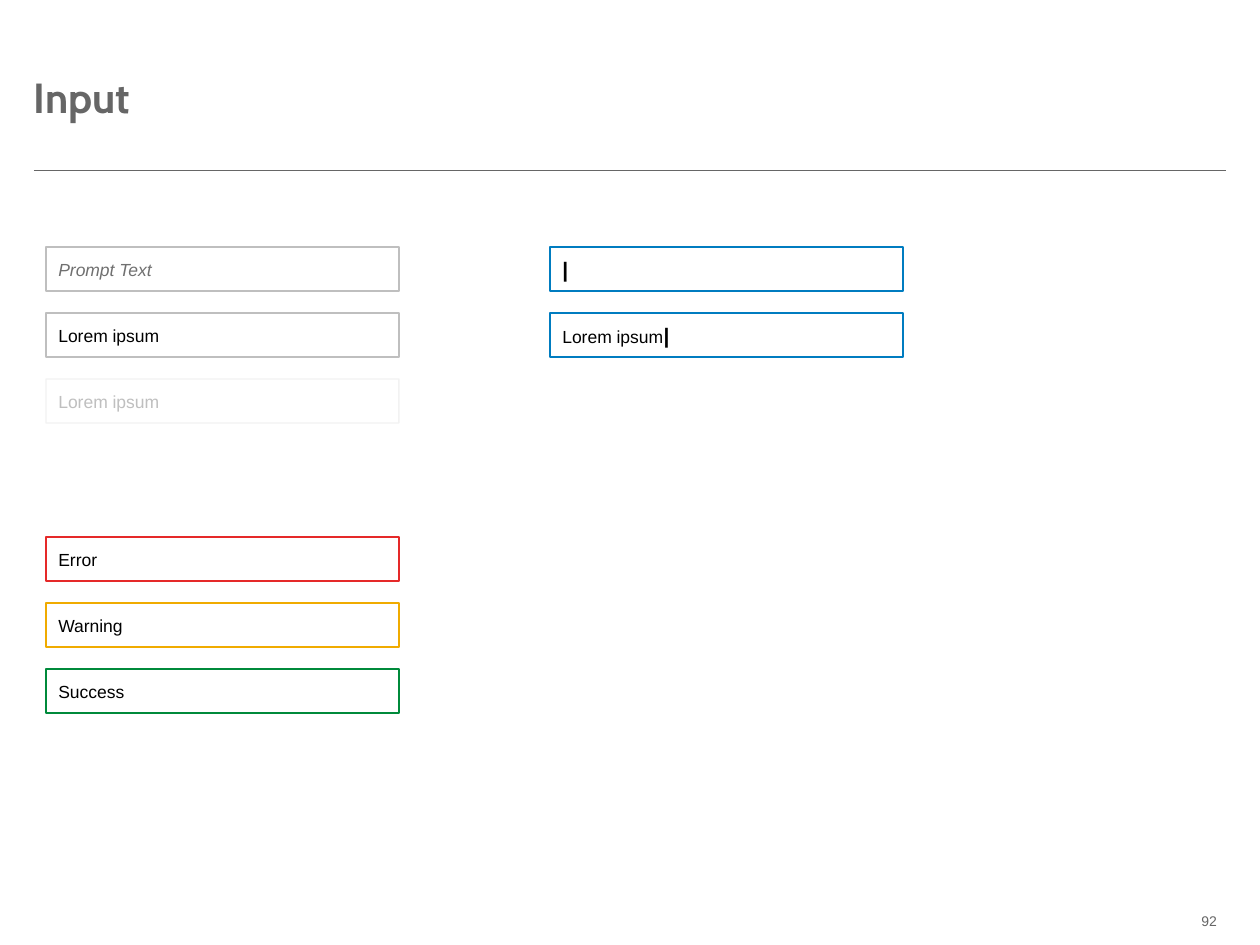
"""Build the slide that shows the states of an input field."""
from lxml import etree
from pptx import Presentation
from pptx.dml.color import RGBColor
from pptx.enum.shapes import MSO_CONNECTOR, MSO_SHAPE
from pptx.enum.text import MSO_ANCHOR, MSO_AUTO_SIZE, PP_ALIGN
from pptx.oxml.ns import qn
from pptx.util import Pt

PX = 914400 / 126
WHITE = RGBColor(0xFF, 0xFF, 0xFF)
BLACK = RGBColor(0x00, 0x00, 0x00)
GREY = RGBColor(0x66, 0x66, 0x66)
PROMPT_GREY = RGBColor(0x70, 0x70, 0x70)
SILVER = RGBColor(0xBF, 0xBF, 0xBF)
BLUE = RGBColor(0x00, 0x7C, 0xC0)
RED = RGBColor(0xE5, 0x29, 0x29)
AMBER = RGBColor(0xF0, 0xAB, 0x00)
GREEN = RGBColor(0x00, 0x8A, 0x3B)

TITLE = "Input"
PAGE_NUMBER = "92"
PLAIN = {"size": 10}
CARET = {"size": 12, "bold": True, "spacing": -300}
FIELD_GROUPS = [
    {"left": 46, "top": 247, "weight": 0.75, "fields": [
        {"border": SILVER, "runs": [("Prompt Text", {"size": 10, "italic": True, "color": PROMPT_GREY})]},
        {"border": SILVER, "runs": [("Lorem ipsum", PLAIN)]},
        {"border": SILVER, "runs": [("Lorem ipsum", {"size": 10, "color": SILVER})],
         "fill_alpha": 30, "border_alpha": 20},
    ]},
    {"left": 550, "top": 247, "weight": 0.75, "fields": [
        {"border": BLUE, "runs": [("|", CARET)]},
        {"border": BLUE, "runs": [("Lorem ipsum", PLAIN), (" |", CARET)]},
    ]},
    {"left": 46, "top": 537, "weight": 1.25, "fields": [
        {"border": RED, "runs": [("Error", PLAIN)]},
        {"border": AMBER, "runs": [("Warning", PLAIN)]},
        {"border": GREEN, "runs": [("Success", PLAIN)]},
    ]},
]
FIELD_WIDTH, FIELD_HEIGHT, FIELD_PITCH = 353, 44, 66


def px(*lengths):
    return [round(length * PX) for length in lengths]


def add_text(paragraph, text, size, font="Arial", color=BLACK, bold=False, italic=False, spacing=None):
    run = paragraph.add_run()
    run.text = text
    run.font.size = Pt(size)
    run.font.name = font
    run.font.color.rgb = color
    run.font.bold = bold
    run.font.italic = italic
    if spacing is not None:
        run.font._element.set("spc", str(spacing))


def set_margins(frame, right=0):
    frame.margin_left = frame.margin_top = frame.margin_bottom = 0
    frame.margin_right = px(right)[0]


def set_alpha(fill_parent, percent):
    color = fill_parent.find(qn("a:solidFill"))[0]
    etree.SubElement(color, qn("a:alpha")).set("val", str(percent * 1000))


def add_field(slide, left, top, weight, border, runs, fill_alpha=None, border_alpha=None):
    field = slide.shapes.add_shape(MSO_SHAPE.RECTANGLE, *px(left, top, FIELD_WIDTH, FIELD_HEIGHT))
    field.shadow.inherit = False
    field.fill.solid()
    field.fill.fore_color.rgb = WHITE
    field.line.color.rgb = border
    field.line.width = Pt(weight)
    if fill_alpha:
        set_alpha(field._element.spPr, fill_alpha)
    if border_alpha:
        set_alpha(field._element.spPr.find(qn("a:ln")), border_alpha)
    frame = field.text_frame
    frame.word_wrap = True
    frame.vertical_anchor = MSO_ANCHOR.MIDDLE
    paragraph = frame.paragraphs[0]
    paragraph.alignment = PP_ALIGN.LEFT
    for text, style in runs:
        add_text(paragraph, text, **style)


def add_title(slide):
    title = slide.shapes.title
    title.left, title.top, title.width, title.height = px(34, 44, 1193, 105)
    frame = title.text_frame
    set_margins(frame)
    frame.auto_size = MSO_AUTO_SIZE.NONE
    frame.vertical_anchor = MSO_ANCHOR.MIDDLE
    frame.paragraphs[0].alignment = PP_ALIGN.LEFT
    add_text(frame.paragraphs[0], TITLE, size=24, font="Cabin", color=GREY, bold=True)


def add_rule(slide):
    rule = slide.shapes.add_connector(MSO_CONNECTOR.STRAIGHT, *px(34, 170, 1226, 170))
    rule.line.color.rgb = GREY
    rule.line.width = Pt(0.5)
    etree.SubElement(rule._element.spPr, qn("a:effectLst"))


def add_page_number(slide):
    frame = slide.shapes.add_textbox(*px(1199, 912, 28, 17)).text_frame
    set_margins(frame, right=10)
    frame.word_wrap = False
    frame.auto_size = MSO_AUTO_SIZE.SHAPE_TO_FIT_TEXT
    frame.paragraphs[0].alignment = PP_ALIGN.RIGHT
    add_text(frame.paragraphs[0], PAGE_NUMBER, size=8, color=GREY)


def main():
    deck = Presentation()
    deck.slide_width, deck.slide_height = px(1260, 945)
    slide = deck.slides.add_slide(deck.slide_layouts[5])
    add_rule(slide)
    add_page_number(slide)
    add_title(slide)
    for group in FIELD_GROUPS:
        for row, field in enumerate(group["fields"]):
            add_field(slide, group["left"], group["top"] + row * FIELD_PITCH, group["weight"], **field)
    deck.save("out.pptx")


if __name__ == "__main__":
    main()
